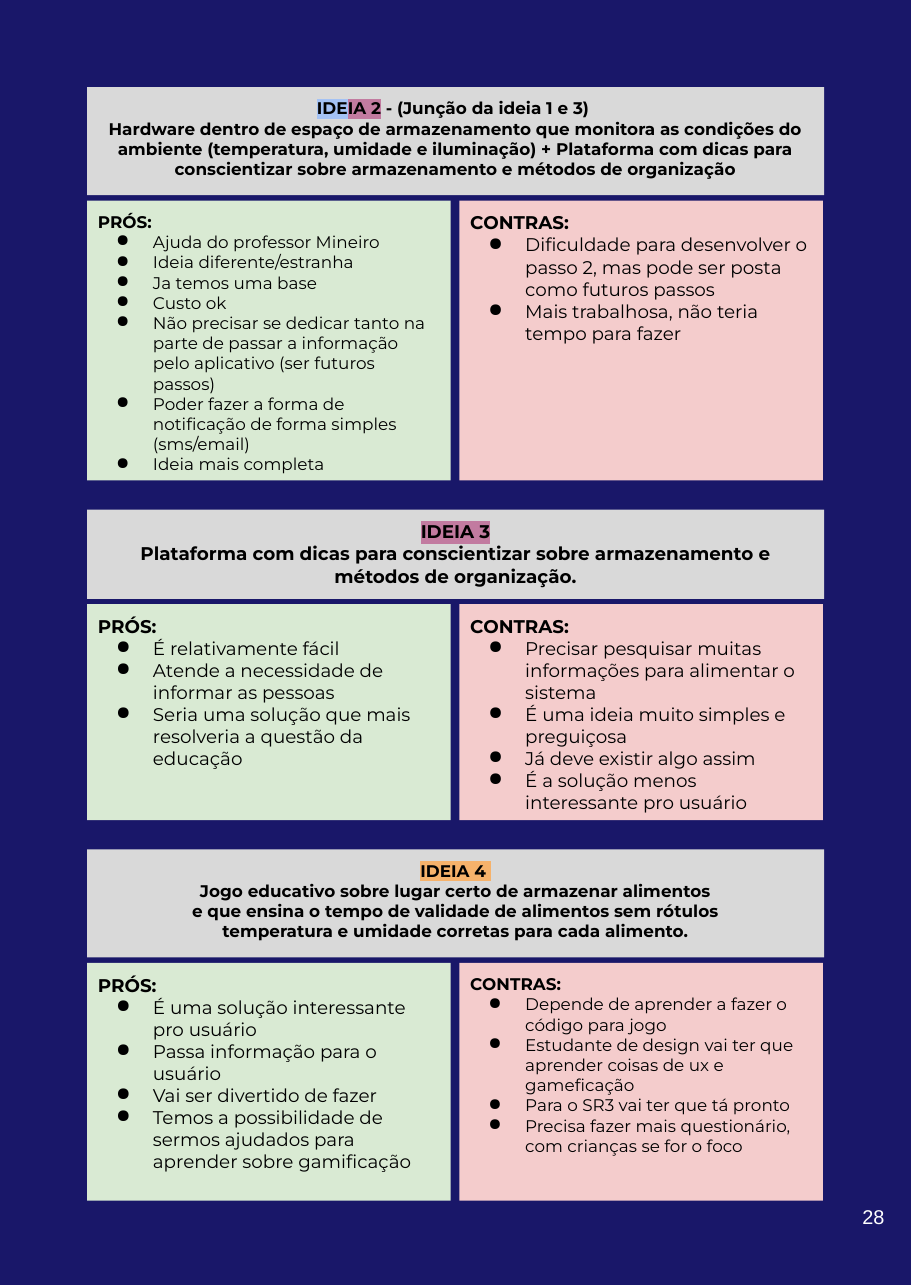
from pptx import Presentation, util as u
from pptx.dml.color import RGBColor
from pptx.enum import shapes, text
from pptx.oxml.ns import qn
from lxml import etree

Pt = u.Pt
LEFT, WIDTH = 56.9, 481.7
COLUMN, CONTRAS_LEFT = 237.6, 300.2
INNER_GAP, IDEA_GAP = 3.6, 19
NAVY, GREY, GREEN, PINK = "191769", "D9D9D9", "D9EAD3", "F4CCCC"
BLUE_MARK, PURPLE_MARK, ORANGE_MARK = "A4C2F4", "C27BA0", "F6B26B"


def color(value):
    return RGBColor.from_string(value)


class Page:
    def __init__(self, slide, font="Montserrat", ink="000000"):
        self.slide, self.font, self.ink = slide, font, ink

    def panel(self, left, top, width, height, fill):
        panel = self.slide.shapes.add_shape(
            shapes.MSO_SHAPE.RECTANGLE, Pt(left), Pt(top), Pt(width), Pt(height))
        panel.shadow.inherit = False
        panel.fill.solid()
        panel.fill.fore_color.rgb = color(fill)
        panel.line.fill.background()
        return self.frame(panel, 7.2, text.MSO_ANCHOR.TOP)

    def frame(self, holder, inset, anchor):
        frame = holder.text_frame
        layout = {"word_wrap": True, "vertical_anchor": anchor}
        layout.update({f"margin_{side}": Pt(inset)
                       for side in ("left", "top", "right", "bottom")})
        for name, value in layout.items():
            setattr(frame, name, value)
        return frame

    def run(self, paragraph, words, size, bold=False, mark=None):
        run = paragraph.add_run()
        run.text = words
        run.font.color.rgb = color(self.ink)
        if mark:
            properties = run.font.fill._xPr
            highlight = etree.SubElement(properties, qn("a:highlight"))
            etree.SubElement(highlight, qn("a:srgbClr"), val=mark)
        for name, value in {"size": Pt(size), "bold": bold, "name": self.font}.items():
            setattr(run.font, name, value)

    def heading(self, top, height, size, title, lines):
        frame = self.panel(LEFT, top, WIDTH, height, GREY)
        for index, runs in enumerate([title] + [[(line, None)] for line in lines]):
            paragraph = frame.add_paragraph() if index else frame.paragraphs[0]
            paragraph.alignment = text.PP_ALIGN.CENTER
            for words, mark in runs:
                self.run(paragraph, words, size, True, mark)

    def arguments(self, left, top, height, fill, label, size, items):
        frame = self.panel(left, top, COLUMN, height, fill)
        for index, words in enumerate([label] + items):
            paragraph = frame.add_paragraph() if index else frame.paragraphs[0]
            paragraph.alignment = text.PP_ALIGN.LEFT
            if index:
                properties = paragraph._p.get_or_add_pPr()
                properties.set("marL", str(Pt(36)))
                properties.set("indent", str(Pt(-24)))
                etree.SubElement(properties, qn("a:buChar"), char="●")
            self.run(paragraph, words, size, bold=not index)

    def number(self, words):
        box = self.slide.shapes.add_textbox(Pt(551.5), Pt(763.2), Pt(36), Pt(64))
        paragraph = self.frame(box, 9.4, text.MSO_ANCHOR.MIDDLE).paragraphs[0]
        paragraph.alignment = text.PP_ALIGN.RIGHT
        self.run(paragraph, words, 13)


IDEAS = [
    {"heading": (70.6, 11,
                 [("IDE", BLUE_MARK), ("IA 2", PURPLE_MARK),
                  (" - (Junção da ideia 1 e 3) ", None)],
                 ["Hardware dentro de espaço de armazenamento que monitora as condições do "
                  "ambiente (temperatura, umidade e iluminação) + Plataforma com dicas para "
                  "conscientizar sobre armazenamento e métodos de organização"]),
     "height": 182.9,
     "pros": (11, ["Ajuda do professor Mineiro",
                   "Ideia diferente/estranha",
                   "Ja temos uma base",
                   "Custo ok",
                   "Não precisar se dedicar tanto na parte de passar a informação "
                   "pelo aplicativo (ser futuros passos)",
                   "Poder fazer a forma de notificação de forma simples (sms/email)",
                   "Ideia mais completa"]),
     "contras": (12, ["Dificuldade para desenvolver o passo 2, mas pode ser posta "
                      "como futuros passos",
                      "Mais trabalhosa, não teria tempo para fazer"])},
    {"heading": (58.3, 12, [("IDEIA 3", PURPLE_MARK)],
                 ["Plataforma com dicas para conscientizar sobre armazenamento e "
                  "métodos de organização."]),
     "height": 141.1,
     "pros": (12, ["É relativamente fácil",
                   "Atende a necessidade de informar as pessoas",
                   "Seria uma solução que mais resolveria a questão da educação"]),
     "contras": (12, ["Precisar pesquisar muitas informações para alimentar o sistema",
                      "É uma ideia muito simples e preguiçosa",
                      "Já deve existir algo assim",
                      "É a solução menos interessante pro usuário"])},
    {"heading": (70.6, 11, [("IDEIA 4 ", ORANGE_MARK)],
                 ["Jogo educativo sobre lugar certo de armazenar alimentos",
                  "e que ensina o tempo de validade de alimentos sem rótulos",
                  "temperatura e umidade corretas para cada alimento."]),
     "height": 155.5,
     "pros": (12, ["É uma solução interessante pro usuário",
                   "Passa informação para o usuário",
                   "Vai ser divertido de fazer",
                   "Temos a possibilidade de sermos ajudados para aprender "
                   "sobre gamificação"]),
     "contras": (11, ["Depende de aprender a fazer o código para jogo",
                      "Estudante de design vai ter que aprender coisas de ux e gameficação",
                      "Para o SR3 vai ter que tá pronto",
                      "Precisa fazer mais questionário, com crianças se for o foco"])},
]


def main():
    deck = Presentation()
    deck.slide_width, deck.slide_height = Pt(595.4), Pt(841.7)
    page = Page(deck.slides.add_slide(deck.slide_layouts[6]))
    page.panel(0, -2, 595.4, 841.7, NAVY)
    top = LEFT
    for idea in IDEAS:
        heading_height, size, title, lines = idea["heading"]
        page.heading(top, heading_height, size, title, lines)
        top += heading_height + INNER_GAP
        page.arguments(LEFT, top, idea["height"], GREEN, "PRÓS:", *idea["pros"])
        page.arguments(CONTRAS_LEFT, top, idea["height"], PINK, "CONTRAS:", *idea["contras"])
        top += idea["height"] + IDEA_GAP
    page.font, page.ink = "Arial", "FFFFFF"
    page.number("28")
    deck.save("out.pptx")


if __name__ == "__main__":
    main()
